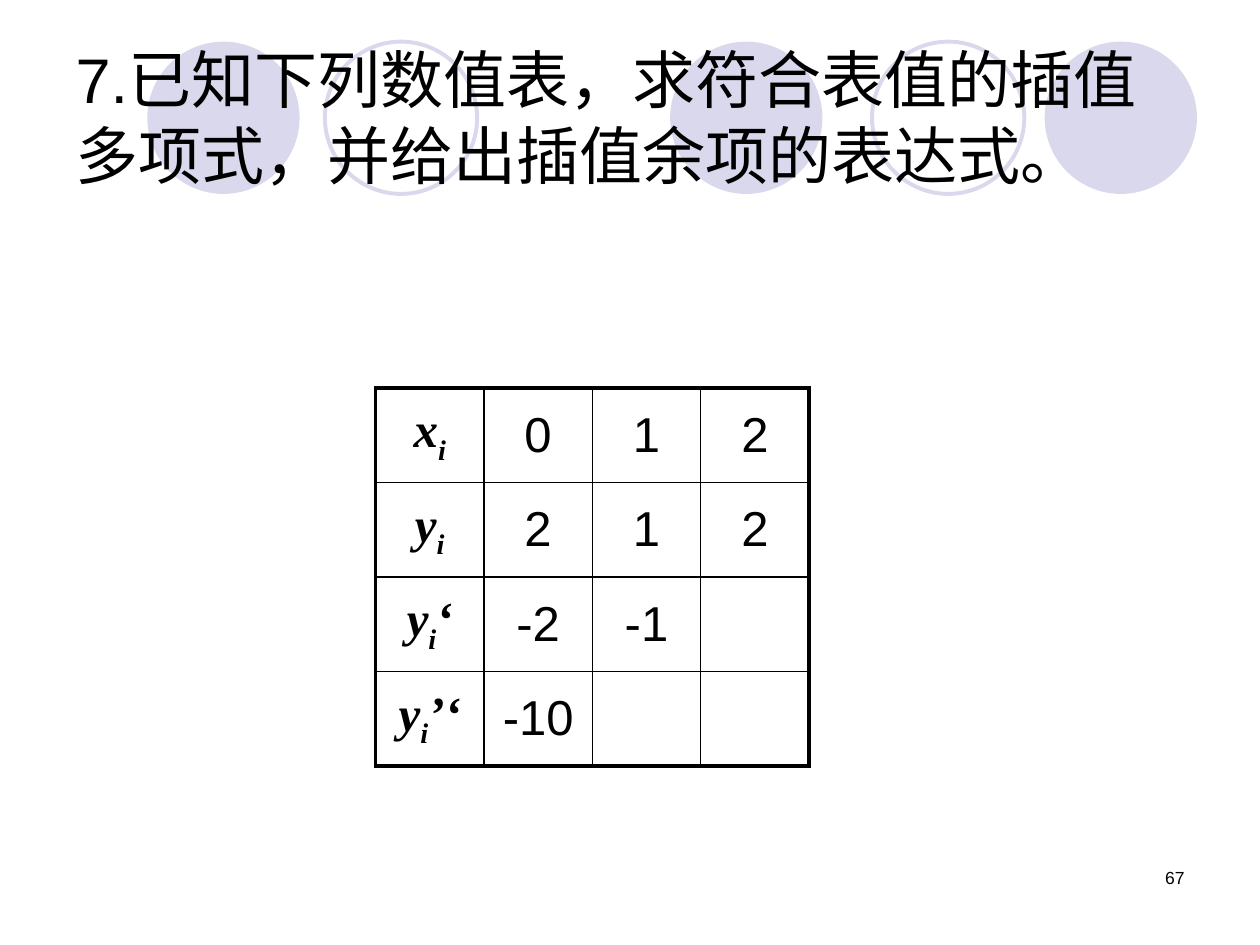
from lxml import etree
from pptx import Presentation
from pptx.dml.color import RGBColor
from pptx.enum.shapes import MSO_SHAPE
from pptx.enum.text import MSO_ANCHOR, PP_ALIGN
from pptx.oxml.ns import qn
from pptx.util import Cm, Pt

ELLIPSE = MSO_SHAPE.OVAL
MIDDLE, TOP = MSO_ANCHOR.MIDDLE, MSO_ANCHOR.TOP
LEFT, CENTER, RIGHT = PP_ALIGN.LEFT, PP_ALIGN.CENTER, PP_ALIGN.RIGHT

BLACK = RGBColor(0x00, 0x00, 0x00)
LAVENDER = RGBColor(0xD9, 0xD8, 0xEC)

TITLE_FONT = {"name": "Arial", "size": Pt(36), "bold": False}
VALUE_FONT = {"name": "Arial", "size": Pt(28)}
SYMBOL_FONT = {"name": "Times New Roman", "size": Pt(28), "bold": True, "italic": True}
NUMBER_FONT = {"name": "Arial", "size": Pt(10)}
THIN, THICK = Pt(1), Pt(2.25)

# Each heading is symbol, subscript and derivative marks
HEADINGS = [("x", "i", ""), ("y", "i", ""), ("y", "i", "‘"), ("y", "i", "’‘")]
VALUES = [("0", "1", "2"), ("2", "1", "2"), ("-2", "-1", ""), ("-10", "", "")]


class SlideBuilder:
    def __init__(self, slide):
        self.slide = slide

    def run(self, paragraph, text, font, subscript=False):
        run = paragraph.add_run()
        run.text = text
        for attribute, value in font.items():
            setattr(run.font, attribute, value)
        run.font.color.rgb = BLACK
        if subscript:
            run.font._element.set("baseline", "-25000")

    def circle(self, left, filled):
        circle = self.slide.shapes.add_shape(ELLIPSE, Cm(left), Cm(0.84), Cm(3.07), Cm(3.07))
        circle.shadow.inherit = False
        if filled:
            circle.fill.solid()
            circle.fill.fore_color.rgb = LAVENDER
            circle.line.fill.background()
        else:
            circle.fill.background()
            circle.line.color.rgb = LAVENDER
            circle.line.width = THICK

    def title(self, text):
        title = self.slide.shapes.title
        title.left, title.top, title.width, title.height = Cm(1.27), Cm(0.76), Cm(22.86), Cm(3.18)
        # Bring the title in front of the circles
        self.slide.shapes._spTree.append(title._element)
        self.fill_frame(title.text_frame, text, TITLE_FONT, LEFT, MIDDLE)

    def text(self, box, text, font, alignment):
        frame = self.slide.shapes.add_textbox(*map(Cm, box)).text_frame
        self.fill_frame(frame, text, font, alignment, TOP)

    def fill_frame(self, frame, text, font, alignment, anchor):
        frame.word_wrap = True
        frame.vertical_anchor = anchor
        frame.paragraphs[0].alignment = alignment
        self.run(frame.paragraphs[0], text, font)

    def borders(self, cell, widths):
        properties = cell._tc.get_or_add_tcPr()
        for position, (side, width) in enumerate(widths.items()):
            line = etree.Element(qn(f"a:ln{side}"), w=str(width))
            fill = etree.SubElement(line, qn("a:solidFill"))
            etree.SubElement(fill, qn("a:srgbClr"), val=str(BLACK))
            properties.insert(position, line)

    def value_table(self, box, headings, values):
        rows, columns = len(values), len(values[0]) + 1
        table = self.slide.shapes.add_table(rows, columns, *map(Cm, box)).table
        table.first_row = table.horz_banding = False
        for row, (heading, numbers) in enumerate(zip(headings, values)):
            symbol, index, marks = heading
            paragraph = table.cell(row, 0).text_frame.paragraphs[0]
            self.run(paragraph, symbol, SYMBOL_FONT)
            self.run(paragraph, index, SYMBOL_FONT, subscript=True)
            if marks:
                self.run(paragraph, marks, SYMBOL_FONT)
            for column, number in enumerate(numbers, start=1):
                if number:
                    self.run(table.cell(row, column).text_frame.paragraphs[0], number, VALUE_FONT)
            # Thick frame outside, thin grid inside
            for column in range(columns):
                cell = table.cell(row, column)
                cell.vertical_anchor = MIDDLE
                cell.text_frame.paragraphs[0].alignment = CENTER
                cell.fill.background()
                outer = {"L": column == 0, "R": column == columns - 1,
                         "T": row == 0, "B": row == rows - 1}
                self.borders(cell, {side: THICK if edge else THIN for side, edge in outer.items()})


def main():
    presentation = Presentation()
    presentation.slide_width, presentation.slide_height = Cm(25.4), Cm(19.05)
    builder = SlideBuilder(presentation.slides.add_slide(presentation.slide_layouts[5]))

    # Decorative circles behind the title
    for left, filled in [(13.51, True), (21.06, True), (2.97, True), (17.58, False), (6.55, False)]:
        builder.circle(left, filled)

    # Exercise and its table of values
    builder.title("7.已知下列数值表，求符合表值的插值多项式，并给出插值余项的表达式。")
    builder.value_table((7.57, 7.82, 8.74, 7.62), HEADINGS, VALUES)

    # Slide number
    builder.text((18.21, 17.35, 5.92, 1.27), "67", NUMBER_FONT, RIGHT)

    presentation.save("out.pptx")


if __name__ == "__main__":
    main()
